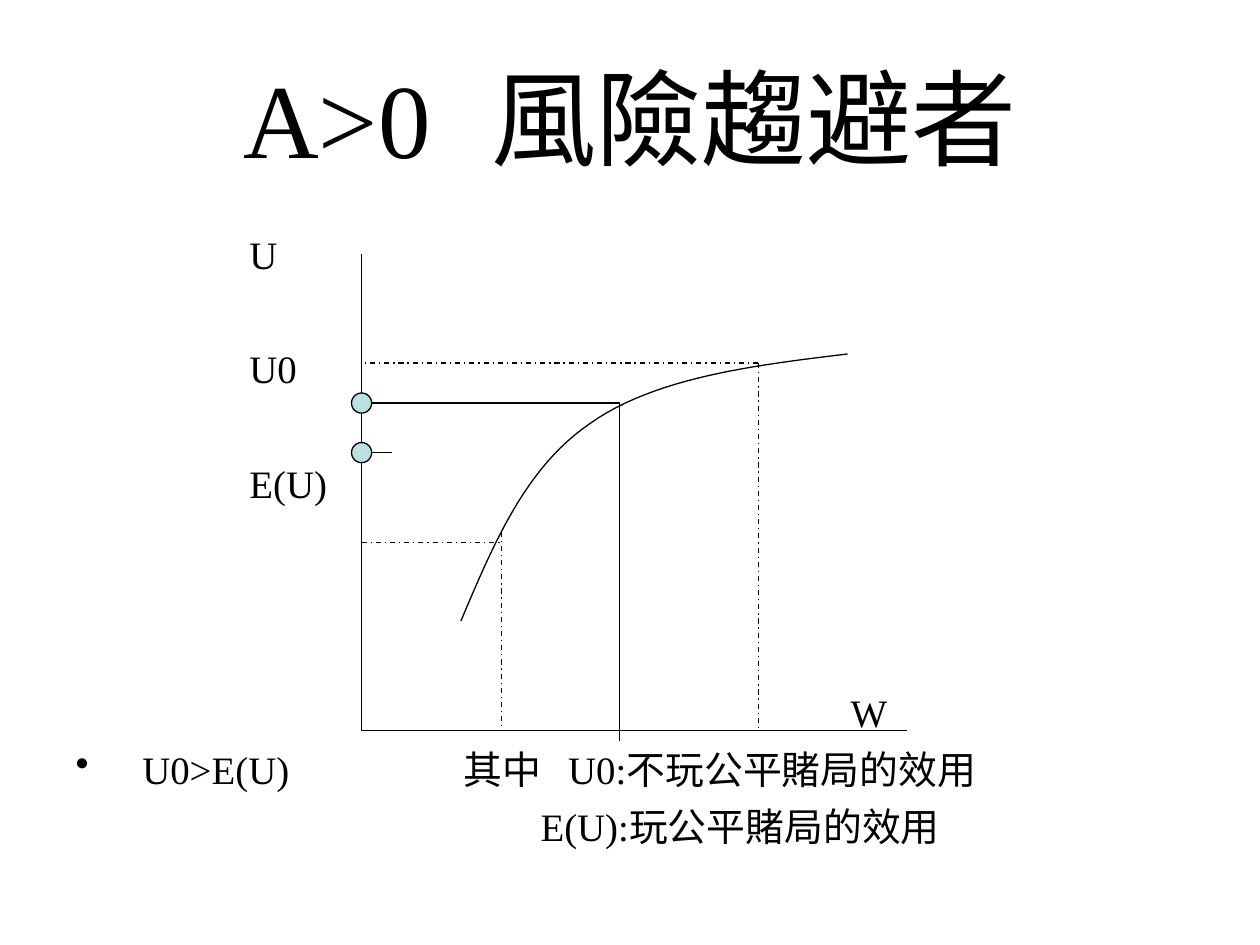
from lxml.etree import SubElement
from pptx import Presentation
from pptx.dml.color import RGBColor
from pptx.enum.dml import MSO_LINE
from pptx.enum.shapes import MSO_CONNECTOR, MSO_SHAPE
from pptx.enum.text import MSO_ANCHOR, PP_ALIGN
from pptx.oxml.ns import qn
from pptx.util import Inches, Pt

COLORS = {"ink": "000000", "dot": "BBE0E3", "paper": "FFFFFF"}
FONT = "Times New Roman"
BODY_SIZE = 22.2
ROW = 0.454
HUNDREDTH = 0.01


def color(name):
    """Return the named colour."""
    return RGBColor.from_string(COLORS[name])


def add_text(page, box, words, size=BODY_SIZE, align=PP_ALIGN.LEFT,
             anchor=MSO_ANCHOR.TOP, bullet_indent=None, gap=None):
    """Place one paragraph in a box, with an optional bullet and widened spaces."""
    frame = page.shapes.add_textbox(*map(Inches, box)).text_frame
    frame.margin_left = frame.margin_right = 0
    frame.margin_top = frame.margin_bottom = 0
    frame.word_wrap = True
    frame.vertical_anchor = anchor
    para = frame.paragraphs[0]
    para.alignment = align
    if bullet_indent:
        properties = para._p.get_or_add_pPr()
        properties.set("marL", str(Inches(bullet_indent)))
        properties.set("indent", str(-Inches(bullet_indent)))
        SubElement(properties, qn("a:buChar")).set("char", "•")
    for piece in words.partition(" ") if gap else [words]:
        span = para.add_run()
        span.text = piece
        span.font.size = Pt(size)
        span.font.name = FONT
        span.font.color.rgb = color("ink")
        if piece == " ":
            span.font._element.set("spc", str(gap * 100))


def style_line(line, dashed=False):
    """Apply the thin ink line, dashed on request."""
    line.color.rgb = color("ink")
    line.width = Pt(0.75)
    if dashed:
        line.dash_style = MSO_LINE.DASH_DOT


def locate(box, point):
    """Turn a point in hundredths of a box into slide lengths."""
    left, top, width, height = box
    across, down = point
    return (Inches(left + width * across * HUNDREDTH),
            Inches(top + height * down * HUNDREDTH))


def add_line(page, box, start, end, dashed=False):
    """Join two points of a box with a straight line."""
    line = page.shapes.add_connector(
        MSO_CONNECTOR.STRAIGHT, *locate(box, start), *locate(box, end))
    style_line(line.line, dashed)
    SubElement(line._element.spPr, qn("a:effectLst"))


def bezier(controls, share):
    """Return the point of a cubic curve at a share of its run."""
    rest = 1 - share
    weights = (rest**3, 3 * rest**2 * share, 3 * rest * share**2, share**3)
    return tuple(sum(weight * point[axis] for weight, point in zip(weights, controls))
                 for axis in (0, 1))


def add_curve(page, box, controls, steps=24):
    """Draw a chain of cubic curves through a box."""
    points = [controls[0]]
    for first in range(0, len(controls) - 1, 3):
        points += [bezier(controls[first:first + 4], step / steps)
                   for step in range(1, steps + 1)]
    places = [locate(box, point) for point in points]
    builder = page.shapes.build_freeform(*places[0], scale=1.0)
    builder.add_line_segments(places[1:], close=False)
    curve = builder.convert_to_shape()
    curve.shadow.inherit = False
    curve.fill.background()
    style_line(curve.line)


def add_dot(page, box, point, size=0.16):
    """Centre a filled dot on a point of a box."""
    across, down = locate(box, point)
    side = Inches(size)
    dot = page.shapes.add_shape(
        MSO_SHAPE.OVAL, across - side // 2, down - side // 2, side, side)
    dot.shadow.inherit = False
    dot.fill.solid()
    dot.fill.fore_color.rgb = color("dot")
    style_line(dot.line)


def build_utility_graph(page, box):
    """Draw the axes, guides, utility curve and dots in a box."""
    low, middle, high = 25.6, 47.3, 72.7
    utility_low, utility_middle, utility_high, expected = 60.4, 31.2, 22.8, 41.6
    add_line(page, box, (0, 0), (0, 100))
    add_line(page, box, (0, 100), (100, 100))
    add_curve(page, box, [(18.2, 77), (24.2, 60.8), (30, 44.7), (42, 35.4),
                          (53.8, 25.9), (71.6, 23.3), (89.1, 20.9)])
    add_line(page, box, (low, 58.2), (low, 100), dashed=True)
    add_line(page, box, (high, utility_high), (high, 100), dashed=True)
    add_line(page, box, (middle, utility_middle), (middle, 102.1))
    add_line(page, box, (0, utility_low), (low, utility_low), dashed=True)
    add_line(page, box, (middle, utility_middle), (-1.6, utility_middle))
    add_line(page, box, (high, utility_high), (0, utility_high), dashed=True)
    add_line(page, box, (-1.6, expected), (5.5, expected))
    for level in (expected, utility_middle):
        add_dot(page, box, (0, level))


def build_labels(page, box):
    """Set the axis labels and notes on the text rows of a box."""
    left, top, width, height = box
    labels = [(0, 1.38, "U"), (2, 1.38, "U0"), (4, 1.38, "E(U)"), (8, 6.15, "W"),
              (9, 3.08, "其中"), (9, 3.91, "U0:不玩公平賭局的效用"),
              (10, 3.69, "E(U):玩公平賭局的效用")]
    for row, indent, words in labels:
        add_text(page, (left + indent, top + row * ROW, width - indent, ROW), words)
    add_text(page, (left, top + 9 * ROW, 3, ROW), "U0>E(U)", bullet_indent=0.53)


def main():
    """Build the slide and save the deck."""
    deck = Presentation()
    deck.slide_width, deck.slide_height = Inches(10), Inches(7.5)
    page = deck.slides.add_slide(deck.slide_layouts[6])
    page.background.fill.solid()
    page.background.fill.fore_color.rgb = color("paper")
    add_text(page, (0.5, 0.3, 9, 1.25), "A>0 風險趨避者", size=60,
             align=PP_ALIGN.CENTER, anchor=MSO_ANCHOR.MIDDLE, gap=20)
    build_labels(page, (0.6, 1.83, 8.8, 5.3))
    build_utility_graph(page, (2.87, 2.02, 4.33, 3.78))
    deck.save("out.pptx")


if __name__ == "__main__":
    main()
